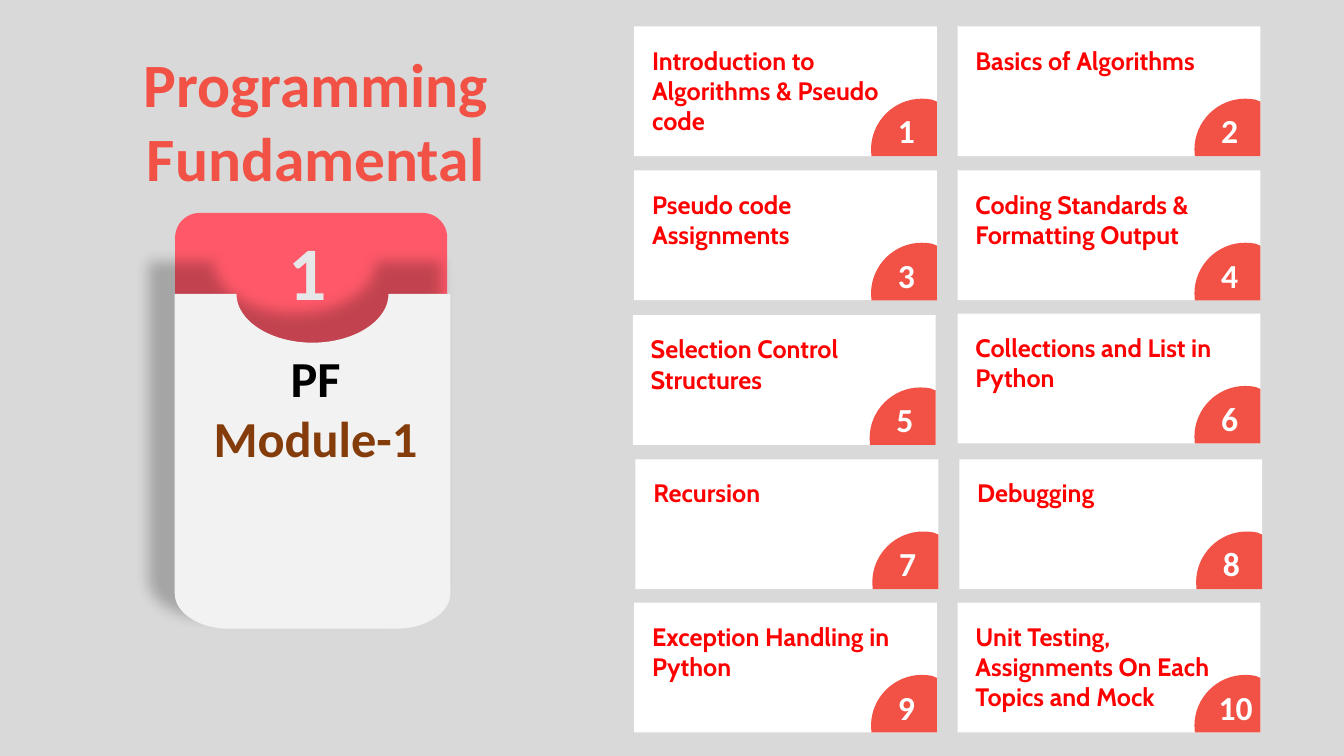
from dataclasses import dataclass

from lxml.etree import SubElement
from pptx import Presentation
from pptx.dml.color import RGBColor
from pptx.enum.shapes import MSO_SHAPE
from pptx.enum.text import MSO_AUTO_SIZE, PP_ALIGN
from pptx.oxml.ns import qn
from pptx.shapes.autoshape import Shape
from pptx.shapes.shapetree import GroupShapes, SlideShapes
from pptx.util import Emu, Inches, Pt

COLS, ROWS = 160, 90
UNIT = Inches(1) // 12
BEND = 0.55
HUES = {
    "back": "D9D9D9", "white": "FFFFFF", "coral": "F25245", "rose": "FF5969",
    "body": "F2F2F2", "pale": "E6E7E9", "red": "FF0000", "black": "000000",
    "brown": "843C0B",
}
Tree = SlideShapes | GroupShapes
Step = tuple[tuple[float, float], ...]


@dataclass(frozen=True)
class Box:
    left: float
    top: float
    width: float
    height: float


@dataclass(frozen=True)
class Line:
    text: str
    size: int
    hue: str
    font: str = "Calibri"
    align: PP_ALIGN = PP_ALIGN.CENTER


@dataclass(frozen=True)
class Tile:
    topic: str
    rows: int
    right: float = 0
    down: float = 0


TILES = (
    Tile("Introduction to Algorithms & Pseudo code", 3),
    Tile("Basics of Algorithms", 1),
    Tile("Pseudo code Assignments", 2),
    Tile("Coding Standards & Formatting Output", 2),
    Tile("Selection Control Structures", 2, -0.17, 0.08),
    Tile("Collections and List in Python", 2, 0, -0.1),
    Tile("Recursion", 1, 0.15, 0.08),
    Tile("Debugging", 1, 0.2, 0.08),
    Tile("Exception Handling in Python", 2),
    Tile("Unit Testing, Assignments On Each Topics and Mock", 3),
)


def grid(units: float) -> Emu:
    return Emu(round(units * UNIT))


def paint(shape: Shape, hue: str) -> None:
    shape.shadow.inherit = False
    shape.fill.solid()
    shape.fill.fore_color.rgb = RGBColor.from_string(HUES[hue])
    shape.line.fill.background()


def block(tree: Tree, kind: MSO_SHAPE, box: Box, hue: str) -> Shape:
    shape = tree.add_shape(
        kind, grid(box.left), grid(box.top), grid(box.width), grid(box.height))
    paint(shape, hue)
    return shape


def write(tree: Tree, box: Box, *lines: Line) -> None:
    frame = tree.add_textbox(
        grid(box.left), grid(box.top), grid(box.width), grid(box.height)).text_frame
    frame.word_wrap = True
    frame.auto_size = MSO_AUTO_SIZE.SHAPE_TO_FIT_TEXT
    for spot, line in enumerate(lines):
        para = frame.add_paragraph() if spot else frame.paragraphs[0]
        para.text = line.text
        para.alignment = line.align
        para.font.name = line.font
        para.font.size = Pt(line.size)
        para.font.bold = True
        para.font.color.rgb = RGBColor.from_string(HUES[line.hue])


def turn(x: float, y: float, right: float, down: float, flat: bool) -> Step:
    first = (x + right * BEND, y) if flat else (x, y + down * BEND)
    last = (x + right, y + down * (1 - BEND)) if flat else (
        x + right * (1 - BEND), y + down)
    return first, last, (x + right, y + down)


def outline(tree: Tree, steps: list[Step], hue: str) -> Shape:
    points = [(grid(x), grid(y)) for step in steps for x, y in step]
    maker = tree.build_freeform(*points[0])
    maker.add_line_segments(points[1:], close=True)
    shape = maker.convert_to_shape()
    paint(shape, hue)
    lines = iter(list(shape._element.iter(qn("a:lnTo"))))
    for step in steps[1:]:
        legs = [next(lines) for _ in step]
        if len(legs) == 3:
            legs[0].tag = qn("a:cubicBezTo")
            for leg in legs[1:]:
                legs[0].append(leg[0])
                leg.getparent().remove(leg)
    return shape


def shade(shape: Shape) -> None:
    glow = SubElement(shape._element.spPr.find(qn("a:effectLst")), qn("a:outerShdw"),
                      blurRad=str(Pt(10)), dist=str(Pt(11.5)), dir="13920000",
                      sx="106000", sy="106000", algn="br", rotWithShape="0")
    tint = SubElement(glow, qn("a:srgbClr"), val=HUES["black"])
    SubElement(tint, qn("a:alpha"), val="23000")


def module(tree: Tree) -> None:
    head = block(tree, MSO_SHAPE.ROUND_2_SAME_RECTANGLE,
                 Box(20.85, 25.35, 32.4, 24.5), "rose")
    head.adjustments[0] = 0.12
    left, top, right, base = 20.8, 35, 53.6, 74.85
    mid, half, deep = (left + right) / 2, 9.05, 5.8
    wide, high = 6.45, 4.2
    shade(outline(tree, [
        ((left, top),),
        ((mid - half, top),),
        turn(mid - half, top, half, deep, False),
        turn(mid, top + deep, half, -deep, True),
        ((right, top),),
        ((right, base - high),),
        turn(right, base - high, -wide, high, False),
        ((left + wide, base),),
        turn(left + wide, base, -wide, -high, True),
    ], "body"))
    write(tree, Box(18.84, 40.7, 37.44, 15.7),
          Line("PF", 36, "black"), Line("Module-1", 36, "brown"))
    write(tree, Box(30.4, 26.15, 12.35, 12.1), Line("1", 54, "pale"))
    write(tree, Box(6.15, 4.9, 62.9, 19), Line("Programming Fundamental", 44, "coral"))


def card(tree: Tree, spot: int, tile: Tile) -> None:
    row, col = divmod(spot, 2)
    left = 75.5 + 38.5 * col + tile.right
    top = 3.15 + 17.15 * row + tile.down
    wide, high = 36.05, 15.45
    block(tree, MSO_SHAPE.RECTANGLE, Box(left, top, wide, high), "white")
    right, base = left + wide, top + high
    edge, peak, curve = right - 7.85, base - 6.85, 6.05
    crest = edge + curve
    outline(tree, [
        ((crest, peak),),
        ((crest + 0.42, peak), (crest + 0.83, peak + 0.04), (crest + 1.22, peak + 0.12)),
        ((right, peak + 0.36),),
        ((right, base),),
        ((edge + 0.05, base),),
        ((edge, peak + curve),),
        turn(edge, peak + curve, curve, -curve, False),
    ], "coral")
    write(tree, Box(left + 29.75, top + 9.4, 5.3 if spot < 9 else 6.7, 6),
          Line(str(spot + 1), 24, "white"))
    write(tree, Box(left + 0.95, top + 1.6, 34.55, 1.2 + 3.64 * tile.rows),
          Line(tile.topic, 18, "red", "Cabin", PP_ALIGN.LEFT))


def main() -> None:
    """Build the course module slide."""
    deck = Presentation()
    deck.slide_width, deck.slide_height = grid(COLS), grid(ROWS)
    slide = deck.slides.add_slide(deck.slide_layouts[6])
    slide.background.fill.solid()
    slide.background.fill.fore_color.rgb = RGBColor.from_string(HUES["back"])
    module(slide.shapes)
    for spot, tile in enumerate(TILES):
        card(slide.shapes.add_group_shape().shapes, spot, tile)
    deck.save("out.pptx")


if __name__ == "__main__":
    main()
